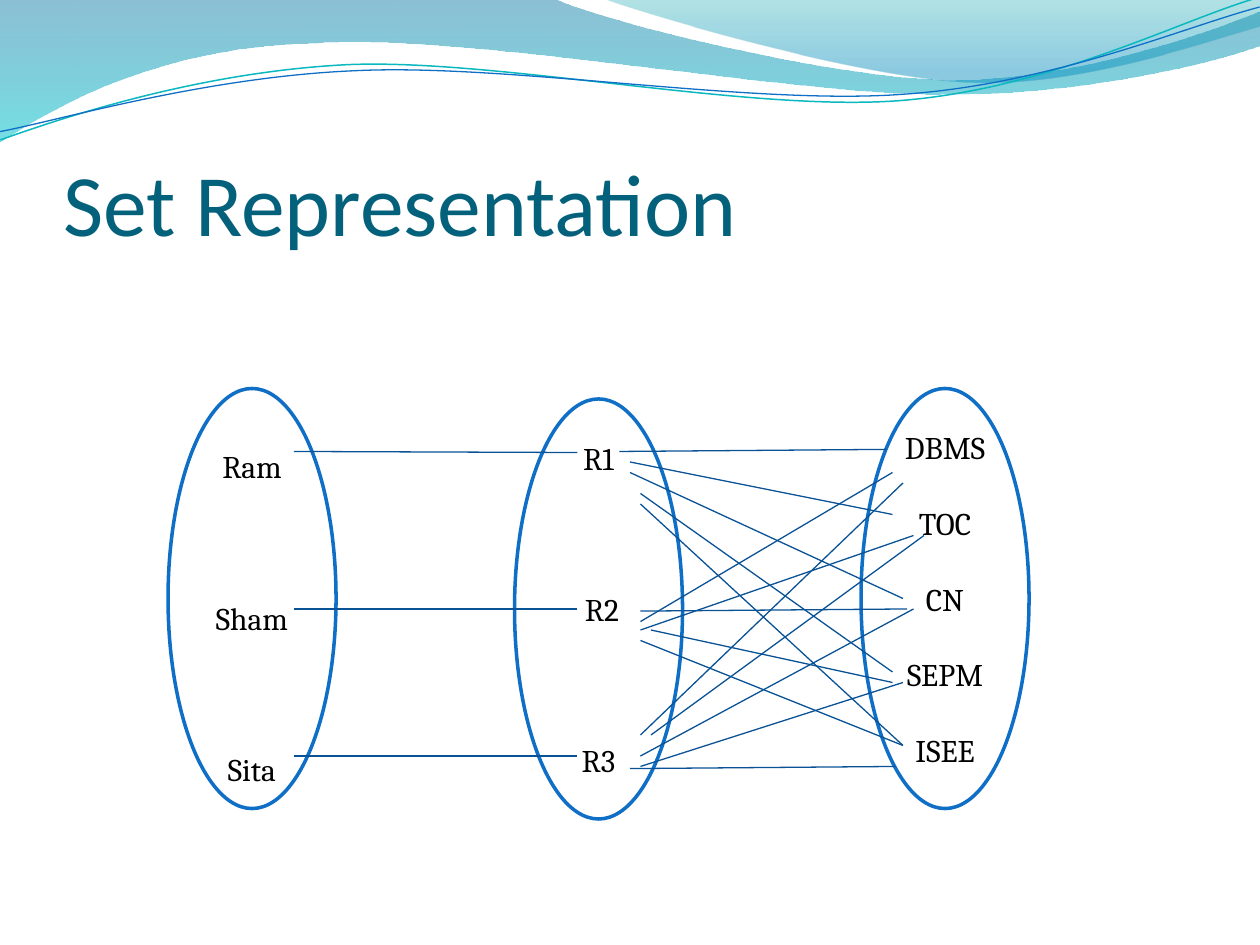
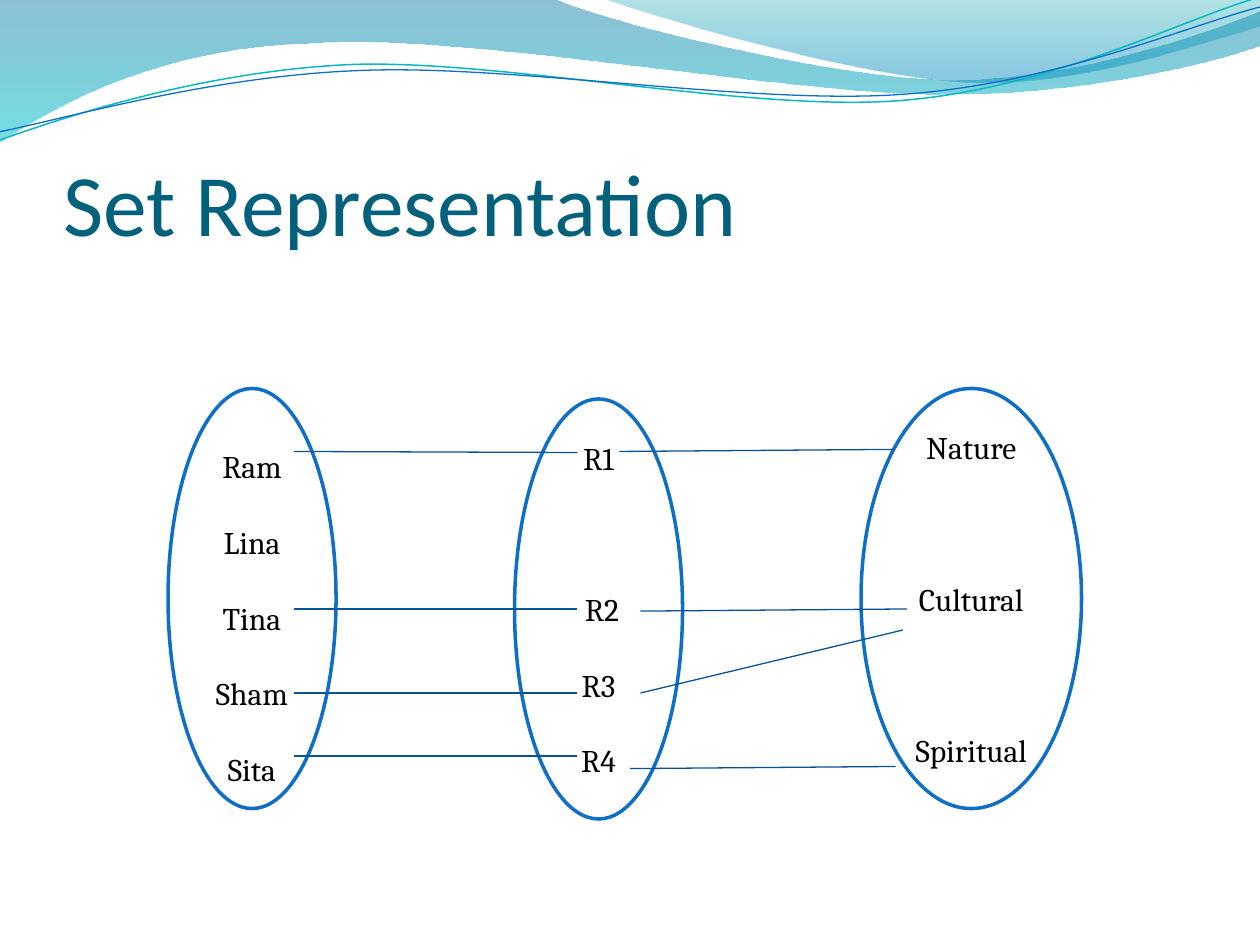
from dataclasses import dataclass

from lxml import etree
from pptx import Presentation
from pptx.dml.color import RGBColor
from pptx.enum.shapes import MSO_CONNECTOR, MSO_SHAPE
from pptx.enum.text import MSO_ANCHOR, MSO_AUTO_SIZE, PP_ALIGN
from pptx.oxml.ns import qn
from pptx.util import Pt

PX = 7620  # EMU per px, 120 px to the inch
PAGE_WIDTH, PAGE_HEIGHT = 1200, 900
TITLE_ONLY = 5
STRAIGHT, OVAL = MSO_CONNECTOR.STRAIGHT, MSO_SHAPE.OVAL
MIDDLE, BOTTOM = MSO_ANCHOR.MIDDLE, MSO_ANCHOR.BOTTOM
LEFT, CENTER = PP_ALIGN.LEFT, PP_ALIGN.CENTER
NO_AUTOFIT = MSO_AUTO_SIZE.NONE


@dataclass(frozen=True)
class Theme:
    title_font: str = "Calibri"
    body_font: str = "Cambria"
    title_size: float = 50
    body_size: float = 18
    row_height: float = 21.6
    outline_width: float = 2
    link_width: float = 0.75
    title: str = "04617B"
    text: str = "000000"
    paper: str = "FFFFFF"
    outline: str = "0F6FC6"
    link: str = "095295"
    teal: str = "0AB8BF"
    teal_width: float = 0.85
    # Gradient stops: position, colour, opacity in percent
    band: tuple = ((0, "0074A1", 45), (1, "00C6CF", 55))
    corner: tuple = ((0, "00A1A9", 30), (0.8, "008BBF", 45))


THEME = Theme()

# Each outline is a start point, then lines (x, y) and cubic curves (six numbers).
BAND = [(0, 0), (528, -1), (571, 20, 797, 76, 910, 76),
        (1024, 76, 1150, 31, 1200, 11), (1201, 43),
        (1180, 53, 1044, 91, 895, 90), (746, 90, 458, 34, 308, 41),
        (154, 43, 55, 100, -1, 136)]
CORNER = [(575, -1), (611, 13, 818, 74, 923, 78),
          (1027, 83, 1153, 38, 1200, 25), (1200, 0)]
WAVE_ROTATION = 357.3
TEAL_WAVE = [(-2, 105), (57, 87, 190, 49, 333, 49),
             (475, 50, 710, 112, 854, 108), (999, 104, 1128, 43, 1201, 26)]
BLUE_WAVE = [(-2, 97), (55, 89, 197, 54, 340, 55),
             (485, 55, 715, 106, 859, 102), (1002, 99, 1131, 50, 1202, 35)]

SET_HEIGHT = 400
STUDENTS_BOX = (160, 370, 160, SET_HEIGHT)
RELATIONS_BOX = (490, 380, 160, SET_HEIGHT)
SUBJECTS_BOX = (820, 370, 160, SET_HEIGHT)
ACTIVITIES_BOX = (820, 370, 210, SET_HEIGHT)
STUDENTS_DROP = 36

STUDENT_LINKS = [(280, 430, 550, 431), (280, 580, 550, 580), (280, 720, 550, 720)]
LEVEL_LINKS = [(610, 582, 864, 580), (600, 732, 853, 730)]
SUBJECT_LINKS = [
    (590, 430, 844, 428), (600, 440, 850, 490), (600, 450, 860, 570),
    (610, 470, 850, 640), (610, 480, 860, 710),
    (610, 592, 850, 450), (610, 600, 870, 510), (620, 600, 850, 650),
    (610, 610, 860, 710),
    (610, 730, 860, 650), (610, 720, 870, 580), (620, 700, 880, 510),
    (610, 700, 860, 460),
]
ACTIVITY_LINKS = [(590, 430, 851, 428), (280, 660, 550, 660), (610, 660, 860, 600)]


class SetDeck:
    def __init__(self, theme):
        self.theme = theme
        self.deck = Presentation()
        self.deck.slide_width = PAGE_WIDTH * PX
        self.deck.slide_height = PAGE_HEIGHT * PX
        self.layout = self.deck.slide_layouts[TITLE_ONLY]
        self.page = None

    def add_page(self, title):
        self.page = self.deck.slides.add_slide(self.layout)
        box = self.page.shapes.title
        self.place(box, 60, 92, 1080, 150)
        frame = box.text_frame
        frame.text = title
        frame.auto_size = NO_AUTOFIT
        frame.vertical_anchor = BOTTOM
        frame.margin_left = frame.margin_right = frame.margin_bottom = 0
        frame.margin_top = 6 * PX
        para = frame.paragraphs[0]
        para.alignment = LEFT
        self.style_font(para, self.theme.title_font, self.theme.title_size, self.theme.title)

    def place(self, shape, left, top, width, height):
        shape.left, shape.top = left * PX, top * PX
        shape.width, shape.height = width * PX, height * PX

    def style_font(self, para, name, size, color):
        para.font.name = name
        para.font.size = Pt(size)
        para.font.color.rgb = RGBColor.from_string(color)

    def style_line(self, line, color, width):
        line.color.rgb = RGBColor.from_string(color)
        line.width = Pt(width)

    def add_outline(self, outline, closed):
        """Draw all points as lines, then join each curve's three lines into one cubic."""
        points = [segment[i:i + 2] for segment in outline for i in range(0, len(segment), 2)]
        builder = self.page.shapes.build_freeform(*points[0], scale=PX)
        builder.add_line_segments(points[1:], close=closed)
        shape = builder.convert_to_shape()
        shape.shadow.inherit = False
        lines = iter(list(shape.element.spPr.iter(qn("a:lnTo"))))
        for segment in outline[1:]:
            line = next(lines)
            if len(segment) == 6:
                line.tag = qn("a:cubicBezTo")
                for _ in range(2):
                    extra = next(lines)
                    line.append(extra[0])
                    extra.getparent().remove(extra)
        return shape

    def add_band(self, outline, stops):
        band = self.add_outline(outline, closed=True)
        band.line.fill.background()
        band.fill.gradient()
        band.fill.gradient_angle = 270
        for stop, (position, color, _) in zip(band.fill.gradient_stops, stops):
            stop.position = position
            stop.color.rgb = RGBColor.from_string(color)
        colors = band.element.spPr.iter(qn("a:srgbClr"))
        for color, (_, _, opacity) in zip(colors, stops):
            etree.SubElement(color, qn("a:alpha")).set("val", str(opacity * 1000))
        return band

    def add_wave(self, outline, color, width):
        wave = self.add_outline(outline, closed=False)
        wave.rotation = WAVE_ROTATION
        wave.fill.background()
        self.style_line(wave.line, color, width)
        return wave

    def add_header(self):
        """Draw the header on the current page and move it to the shared layout."""
        theme = self.theme
        header = [
            self.add_band(BAND, theme.band),
            self.add_band(CORNER, theme.corner),
            self.add_wave(TEAL_WAVE, theme.teal, theme.teal_width),
            self.add_wave(BLUE_WAVE, theme.outline, theme.link_width),
        ]
        for index, shape in enumerate(header):
            shape.element.nvSpPr.cNvPr.set("id", str(101 + index))
            self.layout.shapes.element.insert(2 + index, shape.element)

    def add_set(self, place, members, drop=0):
        """Draw an ellipse whose members map each name to its text row."""
        box = self.page.shapes.add_shape(OVAL, *(length * PX for length in place))
        box.shadow.inherit = False
        box.fill.solid()
        box.fill.fore_color.rgb = RGBColor.from_string(self.theme.paper)
        self.style_line(box.line, self.theme.outline, self.theme.outline_width)
        frame = box.text_frame
        frame.word_wrap = True
        frame.vertical_anchor = MIDDLE
        frame.margin_left = frame.margin_right = frame.margin_bottom = 0
        frame.margin_top = drop * PX
        previous_row = None
        for name, row in members.items():
            if previous_row is None:
                para = frame.paragraphs[0]
            else:
                para = frame.add_paragraph()
                para.space_before = Pt((row - previous_row - 1) * self.theme.row_height)
            para.text = name
            para.alignment = CENTER
            self.style_font(para, self.theme.body_font, self.theme.body_size, self.theme.text)
            previous_row = row

    def add_links(self, links):
        for ends in links:
            link = self.page.shapes.add_connector(STRAIGHT, *(end * PX for end in ends))
            self.style_line(link.line, self.theme.link, self.theme.link_width)
            etree.SubElement(link.element.spPr, qn("a:effectLst"))


def main():
    sets = SetDeck(THEME)

    sets.add_page("Set Representation")
    sets.add_header()
    sets.add_set(STUDENTS_BOX, {"Ram": 0, "Sham": 4, "Sita": 8}, STUDENTS_DROP)
    sets.add_set(RELATIONS_BOX, {"R1": 0, " R2": 4, "R3": 8})
    sets.add_set(SUBJECTS_BOX, {"DBMS": 0, "TOC": 2, "CN": 4, "SEPM": 6, "ISEE": 8})
    sets.add_links(STUDENT_LINKS + LEVEL_LINKS + SUBJECT_LINKS)

    sets.add_page("Set Representation")
    sets.add_set(STUDENTS_BOX, {"Ram": 0, "Lina": 2, "Tina": 4, "Sham": 6, "Sita": 8},
                 STUDENTS_DROP)
    sets.add_set(RELATIONS_BOX, {"R1": 0, " R2": 4, "R3": 6, "R4": 8})
    sets.add_set(ACTIVITIES_BOX, {"Nature": 0, "Cultural": 4, "Spiritual": 8})
    sets.add_links(STUDENT_LINKS + LEVEL_LINKS + ACTIVITY_LINKS)

    sets.deck.save("out.pptx")


if __name__ == "__main__":
    main()
